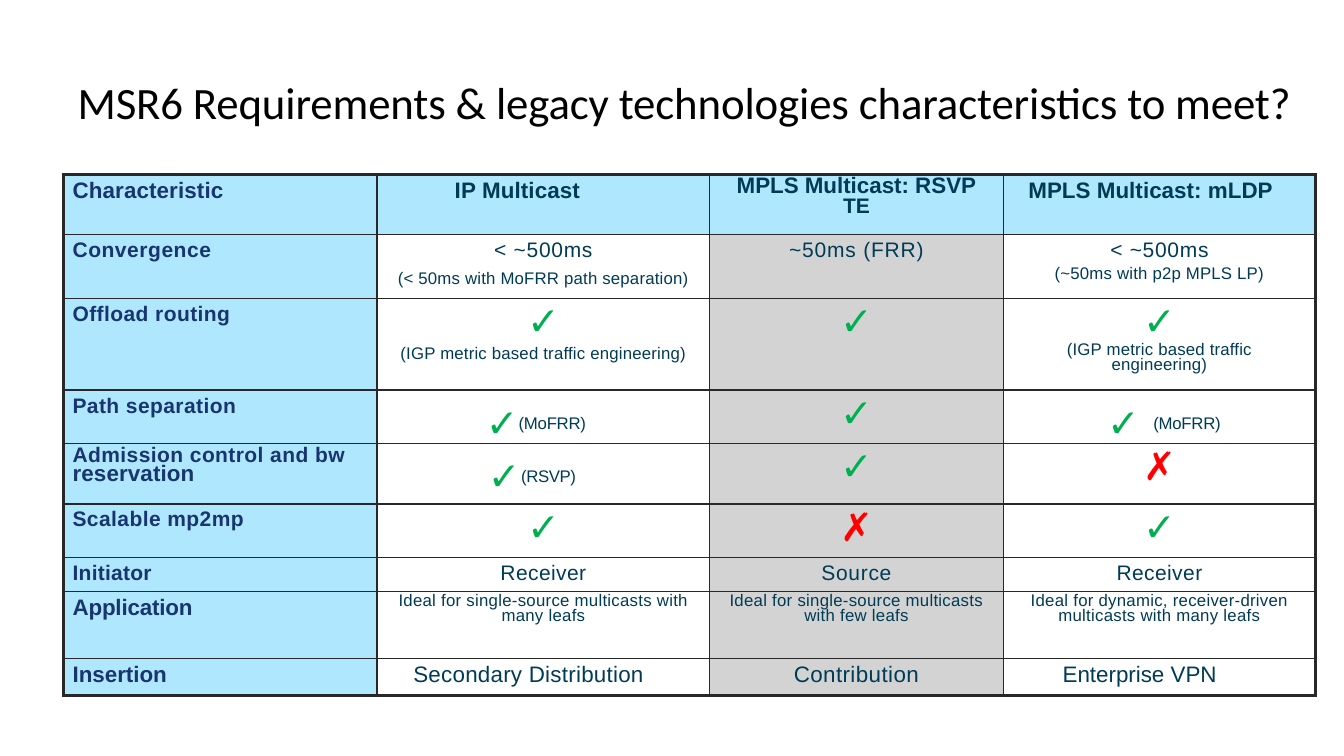
from lxml import etree
from pptx import Presentation
from pptx.dml.color import RGBColor
from pptx.enum.text import MSO_ANCHOR, PP_ALIGN
from pptx.oxml.ns import qn
from pptx.util import Inches, Pt

LEFT, CENTER = PP_ALIGN.LEFT, PP_ALIGN.CENTER
MIDDLE, TOP = MSO_ANCHOR.MIDDLE, MSO_ANCHOR.TOP

COLORS = {"black": "000000", "white": "FFFFFF", "border": "282828", "navy": "18356E",
          "teal": "003B55", "green": "00AF50", "red": "FF0000",
          "label_fill": "AFE7FF", "highlight_fill": "D3D3D3"}

TITLE = "MSR6 Requirements & legacy technologies characteristics to meet?"

# Paragraph styles: sizes, line heights and spacing in points, indents in inches.
BASE = dict(font="Arial", size=15, color="teal", bold=False, align=CENTER,
            left=0, hang=0, before=2.2, line=None, spacing=0.3, bullet=None)
TITLE_STYLE = dict(BASE, font="Calibri", size=32, color="black", align=LEFT,
                   left=0.02, before=1.5, spacing=-0.1)
LABEL = dict(BASE, color="navy", bold=True, align=LEFT, left=0.09)
LARGE_LABEL = dict(LABEL, size=16, before=1.8, spacing=0)
HEADING = dict(BASE, size=16, bold=True, before=1.6, spacing=0.05)
TIGHT_HEADING = dict(HEADING, line=14.3, spacing=0)
VALUE = dict(BASE, spacing=0.5)
LARGE_VALUE = dict(BASE, size=16, align=LEFT, before=1.9, spacing=0.2)
NOTE = dict(BASE, size=12, before=0.1, spacing=0.15)
TIGHT_NOTE = dict(NOTE, line=10.7)
IDEAL = dict(NOTE, line=10.4, before=2.4, spacing=0.2)
IDEAL_END = dict(IDEAL, before=0)
MARK = dict(BASE, size=28, color="green", before=1, spacing=0)
CROSS = dict(MARK, color="red")
BULLET = dict(BASE, size=12, align=LEFT, before=13.1, spacing=-0.2, bullet="✓")

YES, NO = [("✓", MARK)], [("✗", CROSS)]

# Each row: height, then one list of (text, style) paragraphs per cell.
ROWS = [
    (0.6, [
        [("Characteristic", dict(LARGE_LABEL, spacing=0.1))],
        [("IP Multicast", dict(HEADING, align=LEFT, left=0.77, spacing=0.1))],
        [("MPLS Multicast: RSVP", TIGHT_HEADING),
         ("TE", dict(TIGHT_HEADING, size=15, line=13.7, before=0))],
        [("MPLS Multicast: mLDP", dict(HEADING, align=LEFT, left=0.25))]]),
    (0.63, [
        [("Convergence", dict(LABEL, spacing=0.4))],
        [("< ~500ms", VALUE),
         ("(< 50ms with MoFRR path separation)", dict(NOTE, before=5.2))],
        [("~50ms (FRR)", dict(VALUE, spacing=0.6))],
        [("< ~500ms", VALUE), ("(~50ms with p2p MPLS LP)", dict(NOTE, before=1.6))]]),
    (0.91, [
        [("Offload routing", LABEL)],
        [("✓", MARK), ("(IGP metric based traffic engineering)", NOTE)],
        YES,
        [("✓", MARK), ("(IGP metric based traffic", TIGHT_NOTE),
         ("engineering)", dict(TIGHT_NOTE, before=0))]]),
    (0.53, [
        [("Path separation", LABEL)],
        [("(MoFRR)", dict(BULLET, left=1.36, hang=-0.28))],
        YES,
        [("(MoFRR)", dict(BULLET, left=1.49, hang=-0.46))]]),
    (0.6, [
        [("Admission control and bw", dict(LABEL, line=13.5)),
         ("reservation", dict(LARGE_LABEL, line=14.1, before=0, spacing=0.1))],
        [("(RSVP)", dict(BULLET, left=1.43, hang=-0.33, spacing=-0.3))],
        YES, NO]),
    (0.53, [[("Scalable mp2mp", LABEL)], YES, NO, YES]),
    (0.34, [
        [("Initiator", dict(LABEL, spacing=0.2))],
        [("Receiver", dict(VALUE, spacing=0.3))],
        [("Source", VALUE)],
        [("Receiver", dict(VALUE, spacing=0.3))]]),
    (0.66, [
        [("Application", dict(LARGE_LABEL, spacing=-0.1))],
        [("Ideal for single-source multicasts with", IDEAL), ("many leafs", IDEAL_END)],
        [("Ideal for single-source multicasts", IDEAL), ("with few leafs", IDEAL_END)],
        [("Ideal for dynamic, receiver-driven", IDEAL),
         ("multicasts with many leafs", IDEAL_END)]]),
    (0.37, [
        [("Insertion", LARGE_LABEL)],
        [("Secondary Distribution", dict(LARGE_VALUE, left=0.36))],
        [("Contribution", dict(LARGE_VALUE, align=CENTER, spacing=0.3))],
        [("Enterprise VPN", dict(LARGE_VALUE, left=0.59, spacing=0))]]),
]
COLUMN_WIDTHS = [3.11, 3.3, 2.91, 3.1]
TABLE_LEFT, TABLE_TOP = 0.63, 1.73
HIGHLIGHT_COLUMN = 2
INNER_BORDER, OUTER_BORDER = 1, 2.25


def add_bullet(properties, character):
    color = etree.SubElement(properties, qn("a:buClr"))
    etree.SubElement(color, qn("a:srgbClr"), val=COLORS["green"])
    etree.SubElement(properties, qn("a:buSzPct"), val="233000")
    etree.SubElement(properties, qn("a:buFont"), typeface="Arial")
    etree.SubElement(properties, qn("a:buChar"), char=character)


def write_paragraphs(frame, paragraphs):
    for index, (text, style) in enumerate(paragraphs):
        paragraph = frame.add_paragraph() if index else frame.paragraphs[0]
        run = paragraph.add_run()
        run.text = text
        run._r.get_or_add_rPr().set("spc", str(round(style["spacing"] * 100)))
        paragraph.alignment = style["align"]
        paragraph.space_before = Pt(style["before"])
        if style["line"]:
            paragraph.line_spacing = Pt(style["line"])
        properties = paragraph._p.get_or_add_pPr()
        properties.set("marL", str(Inches(style["left"])))
        properties.set("indent", str(Inches(style["hang"])))
        if style["bullet"]:
            add_bullet(properties, style["bullet"])
        font = paragraph.font
        font.name, font.size, font.bold = style["font"], Pt(style["size"]), style["bold"]
        font.color.rgb = RGBColor.from_string(COLORS[style["color"]])


def set_borders(cell, outer_sides):
    """Draw the four borders, heavier on the sides that edge the table."""
    properties = cell._tc.get_or_add_tcPr()
    for position, (side, is_outer) in enumerate(outer_sides.items()):
        width = OUTER_BORDER if is_outer else INNER_BORDER
        border = etree.Element(qn(f"a:ln{side}"), w=str(Pt(width)))
        fill = etree.SubElement(border, qn("a:solidFill"))
        etree.SubElement(fill, qn("a:srgbClr"), val=COLORS["border"])
        properties.insert(position, border)


def cell_fill(row, column):
    if row == 0 or column == 0:
        return "label_fill"
    return "highlight_fill" if column == HIGHLIGHT_COLUMN else "white"


def top_margin(paragraphs):
    style = paragraphs[0][1]
    if style["bullet"]:
        return 0.24
    return 0.02 if style["size"] == MARK["size"] else 0.04


def add_title(slide):
    frame = slide.shapes.add_textbox(
        Inches(0.75), Inches(0.72), Inches(12.5), Inches(0.56)).text_frame
    frame.word_wrap = True
    frame.vertical_anchor = MIDDLE
    frame.margin_left = frame.margin_right = frame.margin_bottom = 0
    frame.margin_top = Inches(0.02)
    write_paragraphs(frame, [(TITLE, TITLE_STYLE)])


def add_comparison(slide):
    heights = [height for height, _ in ROWS]
    table = slide.shapes.add_table(
        len(ROWS), len(COLUMN_WIDTHS), Inches(TABLE_LEFT), Inches(TABLE_TOP),
        Inches(sum(COLUMN_WIDTHS)), Inches(sum(heights))).table
    table.first_row = table.horz_banding = False
    for column, width in enumerate(COLUMN_WIDTHS):
        table.columns[column].width = Inches(width)
    for row, (height, cells) in enumerate(ROWS):
        table.rows[row].height = Inches(height)
        for column, paragraphs in enumerate(cells):
            cell = table.cell(row, column)
            cell.margin_left = cell.margin_right = cell.margin_bottom = 0
            cell.margin_top = Inches(top_margin(paragraphs))
            cell.vertical_anchor = TOP
            cell.fill.solid()
            cell.fill.fore_color.rgb = RGBColor.from_string(COLORS[cell_fill(row, column)])
            set_borders(cell, {"L": column == 0, "R": column == len(COLUMN_WIDTHS) - 1,
                               "T": row == 0, "B": row == len(ROWS) - 1})
            write_paragraphs(cell.text_frame, paragraphs)


def main():
    presentation = Presentation()
    presentation.slide_width, presentation.slide_height = Inches(13.33), Inches(7.5)
    slide = presentation.slides.add_slide(presentation.slide_layouts[6])
    add_title(slide)
    add_comparison(slide)
    presentation.save("out.pptx")


if __name__ == "__main__":
    main()
